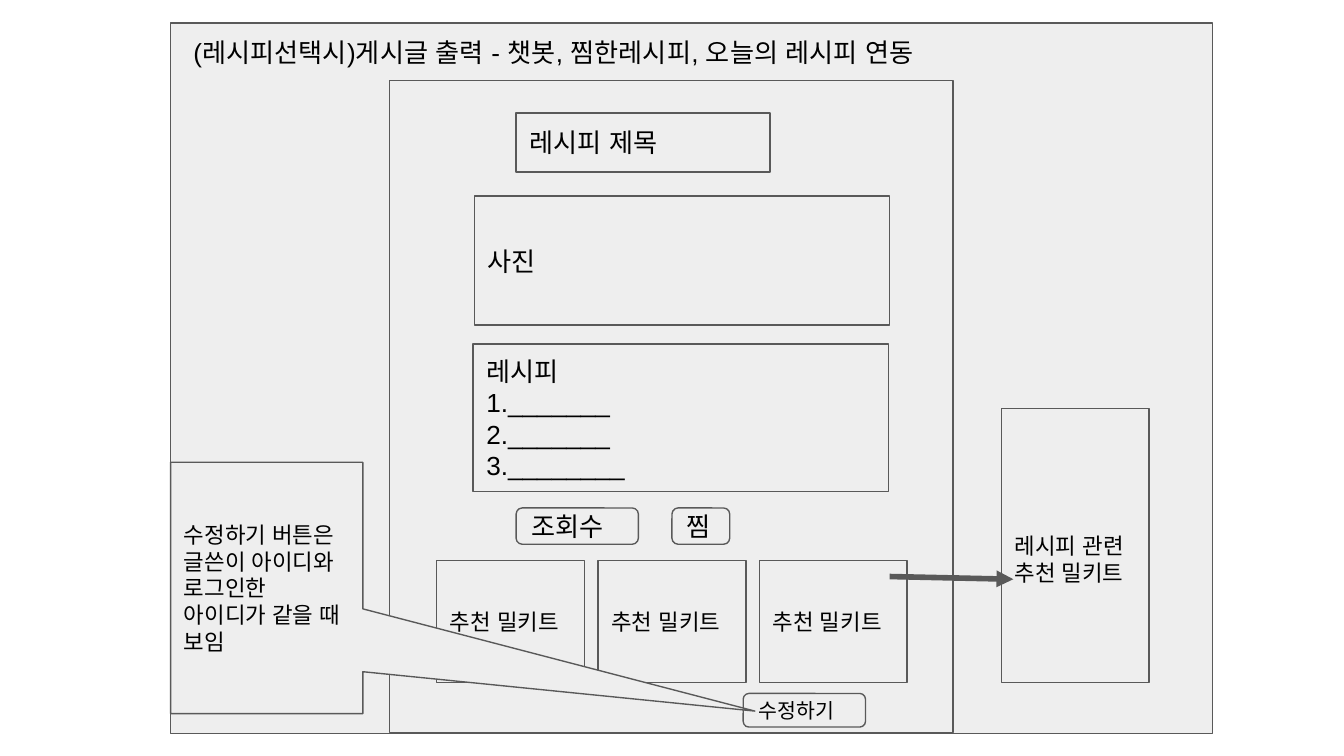
from dataclasses import dataclass

from lxml import etree
from pptx import Presentation
from pptx.dml.color import RGBColor
from pptx.enum.shapes import MSO_CONNECTOR, MSO_SHAPE
from pptx.enum.text import MSO_ANCHOR, MSO_AUTO_SIZE, PP_ALIGN
from pptx.oxml.ns import qn
from pptx.util import Inches, Pt

RECT = MSO_SHAPE.RECTANGLE
ROUND = MSO_SHAPE.ROUNDED_RECTANGLE
CALLOUT = MSO_SHAPE.ROUNDED_RECTANGULAR_CALLOUT
STRAIGHT = MSO_CONNECTOR.STRAIGHT
MIDDLE = MSO_ANCHOR.MIDDLE
LEFT = PP_ALIGN.LEFT
GROW = MSO_AUTO_SIZE.SHAPE_TO_FIT_TEXT

GREY = RGBColor(0xEE, 0xEE, 0xEE)
DARK = RGBColor(0x59, 0x59, 0x59)
BLACK = RGBColor(0, 0, 0)
FONT = "Arial"
PAD = 0.1
WIDTH = Inches(10)
HEIGHT = WIDTH * 9 // 16


@dataclass
class Box:
    left: float
    top: float
    width: float
    height: float
    text: str = ""
    size: int = 14
    kind: MSO_SHAPE = RECT
    adjust: tuple[float, ...] = ()
    inset: float = PAD


PANELS = [Box(1.27, 0.17, 7.75, 5.29), Box(2.9, 0.6, 4.19, 4.85)]
TITLE = Box(1.34, 0.17, 7.39, 0.44,
            "(레시피선택시)게시글 출력 - 챗봇, 찜한레시피, 오늘의 레시피 연동")
POST = [
    Box(3.84, 0.84, 1.89, 0.44, "레시피 제목"),
    Box(3.53, 1.46, 3.09, 0.96, "사진"),
    Box(3.52, 2.56, 3.09, 1.1, "레시피\v1._______\n2._______\n3.________"),
]
KITS = [Box(3.25 + 1.2 * i, 4.17, 1.1, 0.91, "추천 밀키트", 12) for i in range(3)]
DETAIL = Box(7.45, 3.04, 1.1, 2.04, "레시피 관련 추천 밀키트", 12, inset=0.3)
BUTTONS = [
    Box(5, 3.78, 0.43, 0.27, "찜", 14, ROUND, (0.17,)),
    Box(3.84, 3.78, 0.91, 0.27, "조회수", 14, ROUND, (0.17,)),
    Box(5.53, 5.16, 0.91, 0.25, "수정하기", 11, ROUND, (0.17,)),
]
NOTE = Box(1.27, 3.44, 1.43, 1.87,
           "수정하기 버튼은 글쓴이 아이디와 로그인한 아이디가 같을 때 보임",
           12, CALLOUT, (2.54, 0.49, 0))


def place(box: Box) -> tuple[Inches, ...]:
    return tuple(Inches(n) for n in (box.left, box.top, box.width, box.height))


def write(frame, box: Box) -> None:
    frame.text = box.text
    frame.word_wrap = True
    frame.margin_left = frame.margin_right = frame.margin_bottom = Inches(PAD)
    frame.margin_top = Inches(box.inset)
    for para in frame.paragraphs:
        para.alignment = LEFT
        for run in para.runs:
            run.font.name = FONT
            run.font.size = Pt(box.size)
            run.font.color.rgb = BLACK
            etree.SubElement(run.font._element, qn("a:ea"), typeface=FONT)


def draw_box(slide, box: Box) -> None:
    shape = slide.shapes.add_shape(box.kind, *place(box))
    shape.shadow.inherit = False
    for i, value in enumerate(box.adjust):
        shape.adjustments[i] = value
    shape.fill.solid()
    shape.fill.fore_color.rgb = GREY
    shape.line.color.rgb = DARK
    shape.line.width = Pt(0.75)
    if box.text:
        write(shape.text_frame, box)
        shape.text_frame.vertical_anchor = MIDDLE


def draw_title(slide, box: Box) -> None:
    frame = slide.shapes.add_textbox(*place(box)).text_frame
    write(frame, box)
    frame.auto_size = GROW


def draw_arrow(slide, *ends: float) -> None:
    """Draw an arrow from x1, y1 to x2, y2."""
    arrow = slide.shapes.add_connector(STRAIGHT, *map(Inches, ends))
    arrow.line.color.rgb = DARK
    arrow.line.width = Pt(3)
    etree.SubElement(arrow.line._get_or_add_ln(), qn("a:tailEnd"), type="triangle")
    etree.SubElement(arrow._element.spPr, qn("a:effectLst"))


def main() -> None:
    deck = Presentation()
    deck.slide_width = WIDTH
    deck.slide_height = HEIGHT
    slide = deck.slides.add_slide(deck.slide_layouts[6])
    for box in PANELS:
        draw_box(slide, box)
    draw_title(slide, TITLE)
    for box in [*POST, *KITS, DETAIL]:
        draw_box(slide, box)
    draw_arrow(slide, 6.62, 4.29, 7.54, 4.31)
    for box in [*BUTTONS, NOTE]:
        draw_box(slide, box)
    deck.save("out.pptx")


if __name__ == "__main__":
    main()
